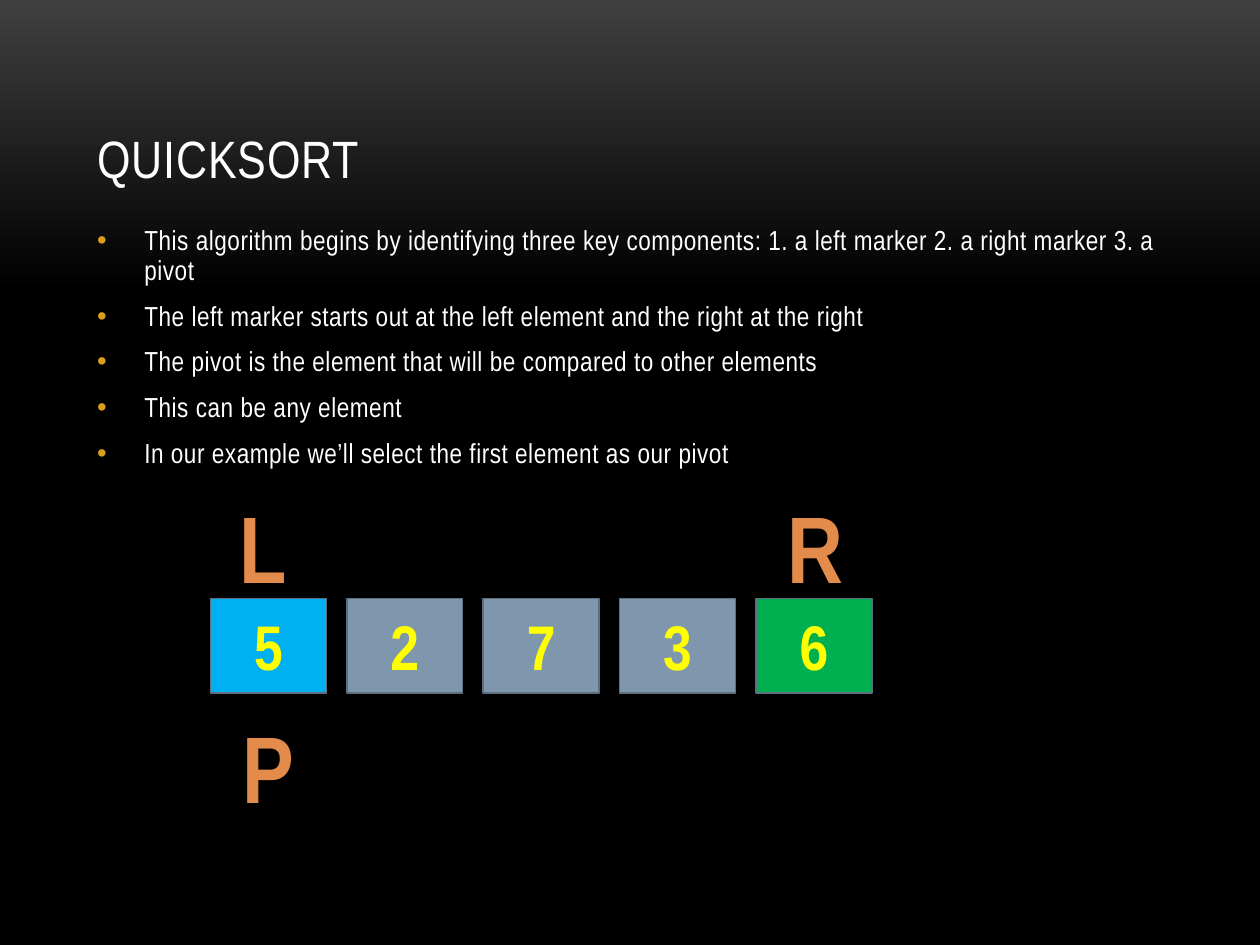
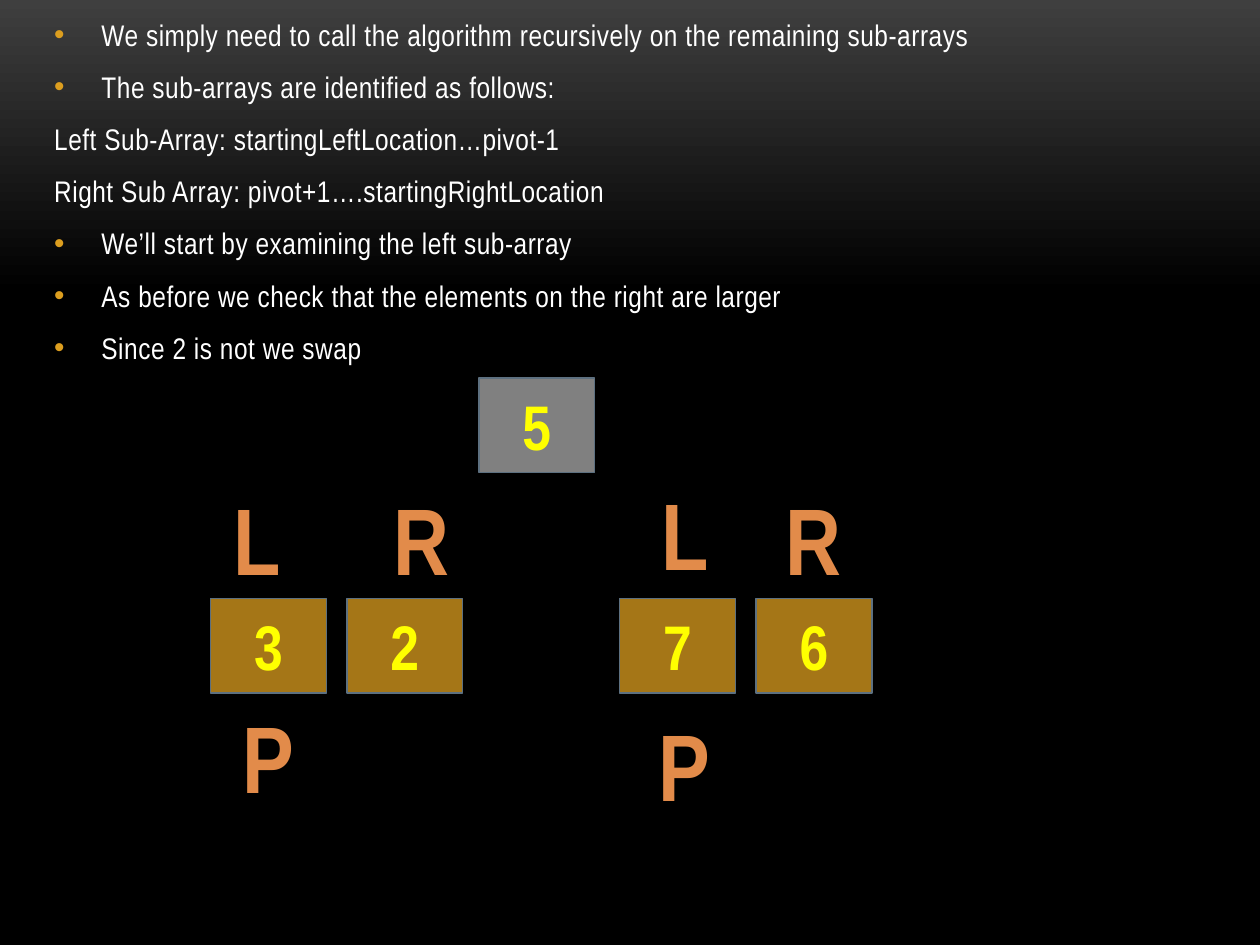
from dataclasses import dataclass

from lxml import etree
from pptx import Presentation
from pptx.dml.color import RGBColor
from pptx.enum.shapes import MSO_SHAPE
from pptx.enum.text import MSO_ANCHOR, MSO_AUTO_SIZE, PP_ALIGN
from pptx.oxml.ns import qn
from pptx.util import Inches, Pt

RECTANGLE = MSO_SHAPE.RECTANGLE
LEFT, CENTER = PP_ALIGN.LEFT, PP_ALIGN.CENTER
TOP, MIDDLE, BOTTOM = MSO_ANCHOR.TOP, MSO_ANCHOR.MIDDLE, MSO_ANCHOR.BOTTOM
FIXED_SIZE, FIT_TEXT = MSO_AUTO_SIZE.NONE, MSO_AUTO_SIZE.SHAPE_TO_FIT_TEXT
TITLE_AND_CONTENT = 1


@dataclass(frozen=True)
class Theme:
    font: str = "Arial Narrow"
    text: str = "FFFFFF"
    bullet: str = "DC9E1F"
    glow: str = "3F3F3F"
    backdrop: str = "000000"
    value: str = "FFFF00"
    marker: str = "E28B4A"
    cell_border: str = "5D7080"
    unsorted: str = "7E97AD"
    left_end: str = "00B0F0"
    right_end: str = "00B050"
    sub_array: str = "A57617"
    placed_pivot: str = "808080"
    title_size: float = 30
    value_size: float = 36
    marker_size: float = 54
    border_width: float = 0.85
    title_tracking: int = 50
    body_tracking: int = 30


THEME = Theme()

# Boxes are left, top, width, height in inches.
TITLE_BOX = (0.67, 0.3, 8.67, 1.25)
ARRAY_BOX = (1.67, 4.75, 5.25, 0.75)
CELL_WIDTH = 0.92
SLOTS = 5
MARKER_HEIGHT = 1.01
MARKER_WIDTHS = {"L": 0.58, "R": 0.65, "P": 0.62}

INTRO_POINTS = [
    "This algorithm begins by identifying three key components: "
    "1. a left marker 2. a right marker 3. a pivot",
    "The left marker starts out at the left element and the right at the right",
    "The pivot is the element that will be compared to other elements",
    "This can be any element",
    "In our example we’ll select the first element as our pivot",
]
RECURSION_POINTS = [
    "We simply need to call the algorithm recursively on the remaining sub-arrays",
    "The sub-arrays are identified as follows:",
    "Left Sub-Array: startingLeftLocation…pivot-1",
    "Right Sub Array: pivot+1….startingRightLocation",
    "We’ll start by examining the left sub-array",
    "As before we check that the elements on the right are larger",
    "Since 2 is not we swap",
]
RECURSION_UNBULLETED = (2, 3)


def rgb(code):
    return RGBColor.from_string(code)


def set_values(target, values):
    for name, value in values.items():
        setattr(target, name, value)


def place(shape, box):
    set_values(shape, dict(zip(("left", "top", "width", "height"), map(Inches, box))))


def write(paragraph, text, size, color, bold=False, tracking=0):
    run = paragraph.add_run()
    run.text = text
    set_values(run.font, {"name": THEME.font, "size": Pt(size), "bold": bold})
    run.font.color.rgb = rgb(color)
    if tracking:
        run.font._element.set("spc", str(tracking))


def style_background(master):
    fill = master.background.fill
    fill.gradient()
    fill.gradient_angle = 270
    stops = ((0, THEME.glow), (0.31, THEME.backdrop))
    for stop, (position, color) in zip(fill.gradient_stops, stops):
        stop.position = position
        stop.color.rgb = rgb(color)


def fill_title(slide, text):
    title = slide.shapes.title
    place(title, TITLE_BOX)
    set_values(title.text_frame, {"vertical_anchor": BOTTOM, "auto_size": FIXED_SIZE})
    heading = title.text_frame.paragraphs[0]
    heading.alignment = LEFT
    write(heading, text, THEME.title_size, THEME.text, tracking=THEME.title_tracking)


def mark_bullet(paragraph, bulleted):
    """Colour the template's bullet, or drop it together with its indent."""
    properties = paragraph._p.get_or_add_pPr()
    if bulleted:
        bullet_color = etree.SubElement(properties, qn("a:buClr"))
        etree.SubElement(bullet_color, qn("a:srgbClr"), val=THEME.bullet)
    else:
        set_indent = {"marL": "0", "indent": "0"}
        for name, value in set_indent.items():
            properties.set(name, value)
        etree.SubElement(properties, qn("a:buNone"))


def fill_points(slide, box, points, size, line_spacing=1.0, unbulleted=()):
    body = slide.placeholders[1]
    place(body, box)
    frame = body.text_frame
    set_values(frame, {"vertical_anchor": TOP, "auto_size": FIXED_SIZE})
    for index, point in enumerate(points):
        paragraph = frame.add_paragraph() if index else frame.paragraphs[0]
        set_values(paragraph, {"line_spacing": line_spacing, "space_after": Pt(6)})
        mark_bullet(paragraph, index not in unbulleted)
        write(paragraph, point, size, THEME.text, tracking=THEME.body_tracking)


def add_cell(slide, left, top, height, value, color):
    cell = slide.shapes.add_shape(RECTANGLE, 0, 0, 0, 0)
    place(cell, (left, top, CELL_WIDTH, height))
    cell.shadow.inherit = False
    cell.fill.solid()
    cell.fill.fore_color.rgb = rgb(color)
    cell.line.color.rgb = rgb(THEME.cell_border)
    cell.line.width = Pt(THEME.border_width)
    cell.text_frame.vertical_anchor = MIDDLE
    paragraph = cell.text_frame.paragraphs[0]
    paragraph.alignment = CENTER
    write(paragraph, value, THEME.value_size, THEME.value, bold=True)


def add_marker(slide, letter, left, top):
    marker = slide.shapes.add_textbox(0, 0, 0, 0)
    set_values(marker.text_frame, {"word_wrap": False, "auto_size": FIT_TEXT})
    place(marker, (left, top, MARKER_WIDTHS[letter], MARKER_HEIGHT))
    paragraph = marker.text_frame.paragraphs[0]
    paragraph.alignment = CENTER
    write(paragraph, letter, THEME.marker_size, THEME.marker, bold=True)


def add_array(slide, box, cells, markers):
    """Draw cells as {slot: (value, color)}; markers are offset from their slot."""
    left, top, width, height = box
    pitch = (width - CELL_WIDTH) / (SLOTS - 1)
    for slot, (value, color) in cells.items():
        add_cell(slide, left + slot * pitch, top, height, value, color)
    for letter, slot, right, down in markers:
        add_marker(slide, letter, left + slot * pitch + right, top + down)


def build_intro(slide):
    fill_title(slide, "QUICKSORT")
    fill_points(slide, (0.67, 1.75, 8.67, 2.25), INTRO_POINTS, 15.7, line_spacing=0.9)
    colors = (THEME.left_end, *[THEME.unsorted] * 3, THEME.right_end)
    add_array(
        slide,
        ARRAY_BOX,
        dict(enumerate(zip("52736", colors))),
        [("P", 0, 0.15, 0.83), ("L", 0, 0.13, -0.92), ("R", 4, 0.15, -0.92)],
    )


def build_recursion(slide):
    title = slide.shapes.title._element
    title.getparent().remove(title)
    fill_points(slide, (0.33, 0.08, 8.67, 3.24), RECURSION_POINTS, 17,
                unbulleted=RECURSION_UNBULLETED)
    values = {0: "3", 1: "2", 3: "7", 4: "6"}
    add_array(
        slide,
        ARRAY_BOX,
        {slot: (value, THEME.sub_array) for slot, value in values.items()},
        [
            ("L", 0, 0.08, -0.98), ("R", 1, 0.27, -0.98), ("P", 0, 0.15, 0.75),
            ("L", 3, 0.23, -1.02), ("R", 4, 0.13, -0.98), ("P", 3, 0.2, 0.81),
        ],
    )
    add_cell(slide, 3.8, 3, ARRAY_BOX[3], "5", THEME.placed_pivot)


def main():
    deck = Presentation()
    set_values(deck, {"slide_width": Inches(10), "slide_height": Inches(7.5)})
    style_background(deck.slide_master)
    for build in (build_intro, build_recursion):
        build(deck.slides.add_slide(deck.slide_layouts[TITLE_AND_CONTENT]))
    deck.save("out.pptx")


if __name__ == "__main__":
    main()
